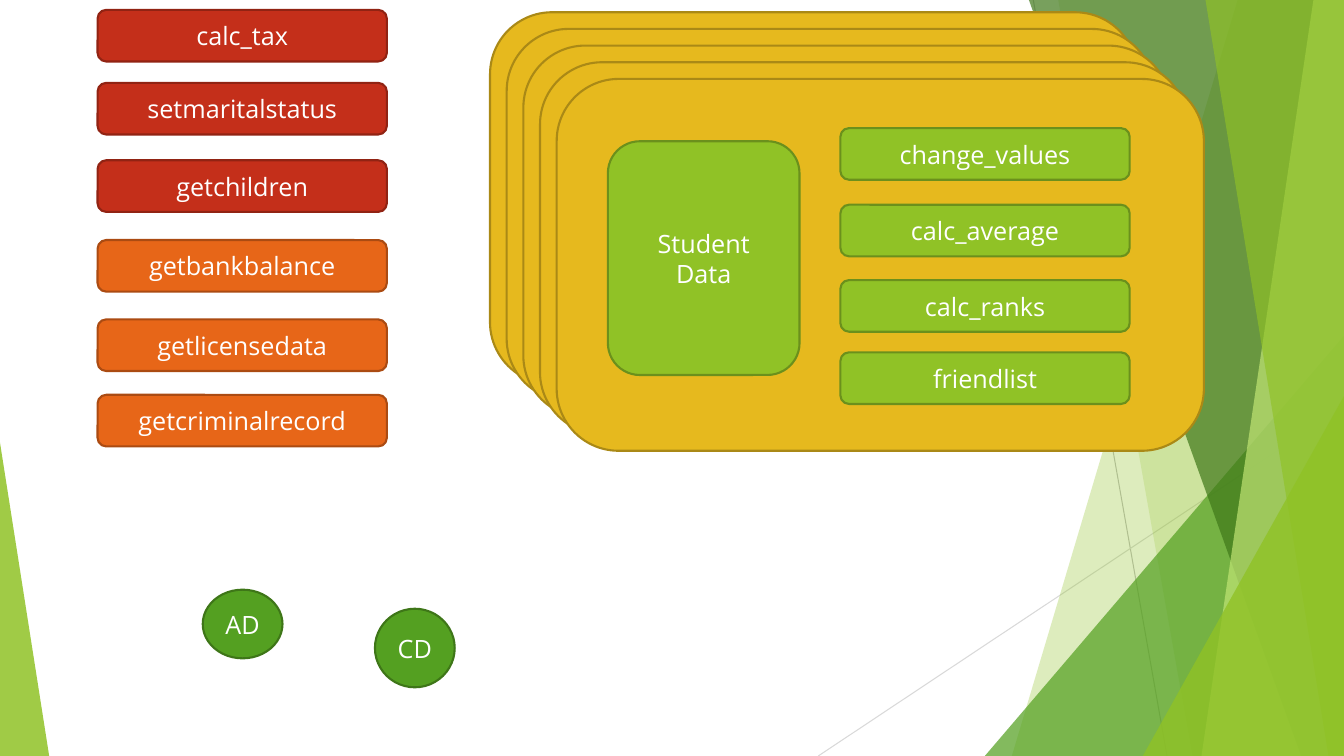
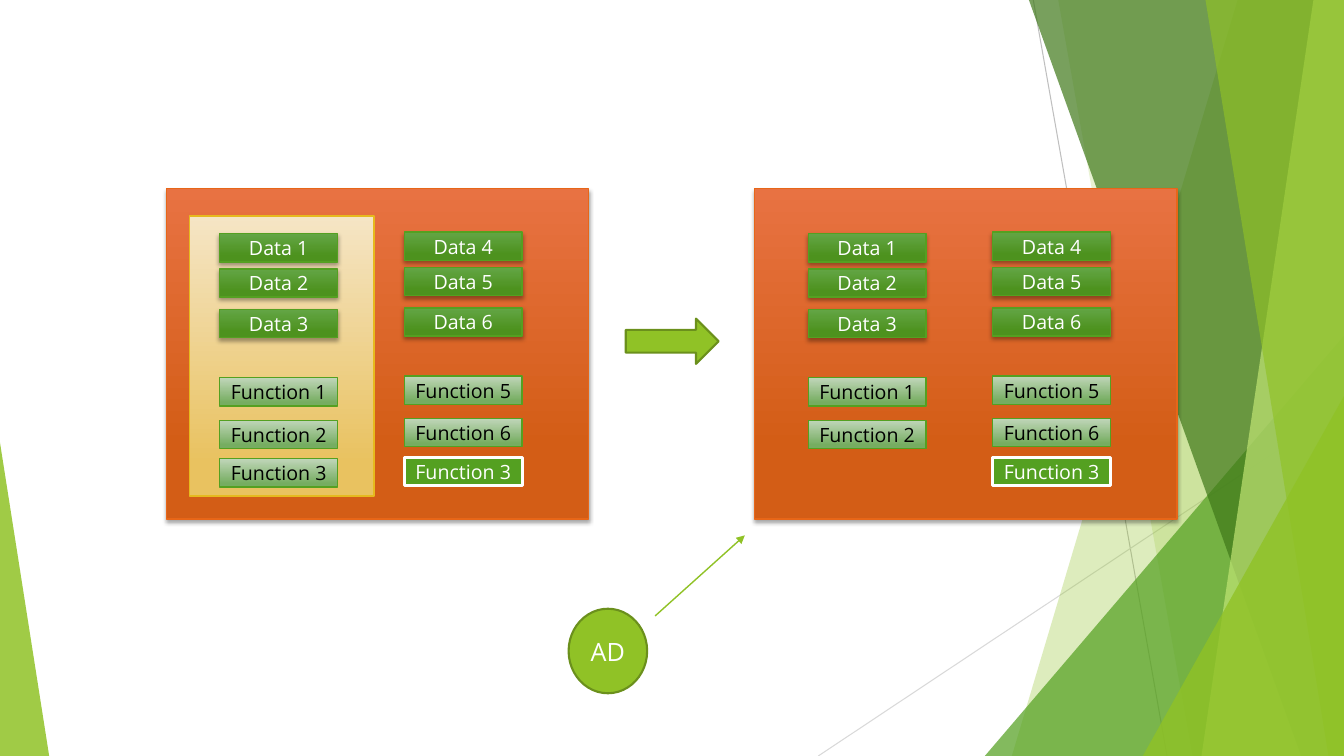
"""Build two slides on objects, their data and their functions."""
from collections import namedtuple

from lxml.etree import SubElement
from pptx import Presentation
from pptx.dml.color import RGBColor
from pptx.enum.shapes import MSO_CONNECTOR, MSO_SHAPE
from pptx.enum.text import MSO_ANCHOR, PP_ALIGN
from pptx.oxml.ns import qn
from pptx.util import Cm, Pt

WIDTH, HEIGHT = 33.87, 19.05
FONT = "Open Sans"
LIME, GREEN, WHITE, BLACK = "90C226", "54A021", "FFFFFF", "000000"

Style = namedtuple("Style", "fill line line_width size color shadow", defaults=(18, WHITE, False))
GOLD = Style("E6B91E", "AA8916", 1.5)
RED = Style("C42F1A", "912313", 1.5)
ORANGE = Style("E76618", "AB4B12", 1.5)
LIME_SHAPE = Style(LIME, "6B901C", 1.5)
GREEN_SHAPE = Style(GREEN, "3E7618", 1.5)
PANEL = Style([(0, "E87242"), (0.78, "D35D16")], "E76618", 1, shadow=True)
BASE_CLASS = Style([(0, "F5E5C5"), (0.88, "E9C260")], "E6B91E", 1)
DATA = Style([(0, "63A545"), (0.78, "4D921E")], GREEN, 1, 14, WHITE, True)
FUNCTION = Style([(0, "C0D6B9"), (0.88, "76AD61")], GREEN, 1, 14, BLACK)
OVERRIDE = Style(GREEN, WHITE, 2, 14)

BACKGROUND_LINES = [
    ((26.04, 0), (29.41, HEIGHT), "BFBFBF"),
    ((WIDTH, 10.24), (20.62, HEIGHT), "D9D9D9"),
]
BACKGROUND_FACETS = [
    ("band", 31.19, 25.5, LIME, 30),
    ("band", 26.67, 30.05, LIME, 20),
    ("triangle", (24.82, 8.46, 9.05, 10.59), 1, GREEN, 72),
    ("band", 25.93, 32.79, "3F7819", 70),
    ("band", 33.1, 30.28, "C0E474", 70),
    ("band", 30.38, 33.48, LIME, 65),
    ("triangle", (28.8, 9.98, 5.07, 9.07), 1, LIME, 80),
    ("triangle", (0, 11.15, 1.24, 7.9), 0, LIME, 85),
]

BUTTON_SIZE = (7.29, 1.3)
LOOSE_LEFT, METHOD_LEFT = 2.46, 21.18
LOOSE_FUNCTIONS = [
    ("calc_tax", 0.25, RED),
    ("setmaritalstatus", 2.09, RED),
    ("getchildren", 4.04, RED),
    ("getbankbalance", 6.05, ORANGE),
    ("getlicensedata", 8.05, ORANGE),
    ("getcriminalrecord", 9.95, ORANGE),
]
STUDENT_METHODS = [
    ("change_values", 3.23, LIME_SHAPE),
    ("calc_average", 5.16, LIME_SHAPE),
    ("calc_ranks", 7.06, LIME_SHAPE),
    ("friendlist", 8.88, LIME_SHAPE),
]
CARD_COUNT, CARD_STEP = 5, 0.42
CARD_LEFT, CARD_TOP, CARD_SIZE = 12.35, 0.31, (16.31, 9.37)
STUDENT_BOX = (15.32, 3.56, 4.83, 5.89)
STUDENT_CIRCLES = [("AD", (5.11, 14.86, 2.01, 1.73)), ("CD", (9.45, 15.34, 2.01, 1.98))]

PANEL_TOP, PANEL_SIZE = 4.75, (10.64, 8.33)
BASE_CLASS_BOX = (4.78, 5.44, 4.65, 7.06)
MEMBER_SIZE = (2.97, 0.71)
MEMBER_TOPS = [5.89, 6.78, 7.8, 9.52, 10.59, 11.56]
DATA_COUNT = 3
COLUMN_OFFSETS = [(1.35, 0), (6, -0.04)]
BASE_MEMBERS = ["Data 1", "Data 2", "Data 3", "Function 1", "Function 2", "Function 3"]
DERIVED_MEMBERS = ["Data 4", "Data 5", "Data 6", "Function 5", "Function 6", "Function 3"]
PANELS = [
    (4.19, BASE_MEMBERS, True),
    (19.02, BASE_MEMBERS[:-1], False),
]
ARROW_BOX = (15.77, 8.03, 2.34, 1.14)
OBJECT_BOX = (14.33, 15.34, 1.98, 2.13)
POINTER = ((16.51, 15.52), (18.77, 13.49))


def rgb(value):
    return RGBColor.from_string(value)


def lengths(*values):
    return [Cm(value) for value in values]


def add_line(slide, start, end, color, width, arrow=False):
    connector = slide.shapes.add_connector(MSO_CONNECTOR.STRAIGHT, *lengths(*start, *end))
    connector.line.color.rgb = rgb(color)
    connector.line.width = Pt(width)
    properties = connector.element.spPr
    if arrow:
        SubElement(properties.find(qn("a:ln")), qn("a:tailEnd"), type="triangle")
    SubElement(properties, qn("a:effectLst"))


def add_shadow(shape):
    effects = shape.element.spPr.find(qn("a:effectLst"))
    shadow = SubElement(effects, qn("a:outerShdw"), blurRad=str(Pt(3)), dist=str(Pt(2)),
                        dir="5400000", rotWithShape="0")
    color = SubElement(shadow, qn("a:srgbClr"), val=BLACK)
    SubElement(color, qn("a:alpha"), val="35000")


def paint(shape, fill):
    if isinstance(fill, str):
        shape.fill.solid()
        shape.fill.fore_color.rgb = rgb(fill)
        return
    shape.fill.gradient()
    shape.fill.gradient_angle = 270
    for stop, (position, color) in zip(shape.fill.gradient_stops, fill):
        stop.position = position
        stop.color.rgb = rgb(color)


def write(shape, text, style):
    frame = shape.text_frame
    frame.text = text
    frame.word_wrap = True
    frame.vertical_anchor = MSO_ANCHOR.MIDDLE
    frame.margin_left = frame.margin_right = Cm(0.1)
    for paragraph in frame.paragraphs:
        paragraph.alignment = PP_ALIGN.CENTER
        for run in paragraph.runs:
            run.font.name = FONT
            run.font.size = Pt(style.size)
            run.font.color.rgb = rgb(style.color)


def add_box(slide, kind, box, style, text=""):
    shape = slide.shapes.add_shape(kind, *lengths(*box))
    shape.shadow.inherit = False
    paint(shape, style.fill)
    shape.line.color.rgb = rgb(style.line)
    shape.line.width = Pt(style.line_width)
    if style.shadow:
        add_shadow(shape)
    if text:
        write(shape, text, style)


def add_band(slide, top_left, bottom_left):
    builder = slide.shapes.build_freeform(*lengths(top_left, 0))
    corners = [(WIDTH, 0), (WIDTH, HEIGHT), (bottom_left, HEIGHT)]
    builder.add_line_segments([lengths(*corner) for corner in corners], close=True)
    return builder.convert_to_shape()


def add_triangle(slide, box, apex):
    shape = slide.shapes.add_shape(MSO_SHAPE.ISOSCELES_TRIANGLE, *lengths(*box))
    shape.adjustments[0] = apex
    return shape


def add_background(slide):
    makers = {"band": add_band, "triangle": add_triangle}
    for start, end, color in BACKGROUND_LINES:
        add_line(slide, start, end, color, 0.75)
    for kind, first, second, color, opacity in BACKGROUND_FACETS:
        facet = makers[kind](slide, first, second)
        facet.shadow.inherit = False
        paint(facet, color)
        facet.line.fill.background()
        fill_color = facet.element.spPr.find(qn("a:solidFill"))[0]
        SubElement(fill_color, qn("a:alpha"), val=str(opacity * 1000))


def add_slide(presentation):
    slide = presentation.slides.add_slide(presentation.slide_layouts[6])
    add_background(slide)
    return slide


def build_student_slide(presentation):
    slide = add_slide(presentation)
    rounded = MSO_SHAPE.ROUNDED_RECTANGLE
    for index in range(CARD_COUNT):
        shift = index * CARD_STEP
        add_box(slide, rounded, (CARD_LEFT + shift, CARD_TOP + shift, *CARD_SIZE), GOLD)
    for left, buttons in [(LOOSE_LEFT, LOOSE_FUNCTIONS), (METHOD_LEFT, STUDENT_METHODS)]:
        for text, top, style in buttons:
            add_box(slide, rounded, (left, top, *BUTTON_SIZE), style, text)
    add_box(slide, rounded, STUDENT_BOX, LIME_SHAPE, "Student\nData")
    for text, box in STUDENT_CIRCLES:
        add_box(slide, MSO_SHAPE.OVAL, box, GREEN_SHAPE, text)


def add_members(slide, left, shift, members, last_function):
    for index, (text, top) in enumerate(zip(members, MEMBER_TOPS)):
        style = DATA if index < DATA_COUNT else FUNCTION
        if index == len(MEMBER_TOPS) - 1:
            style = last_function
        add_box(slide, MSO_SHAPE.RECTANGLE, (left, top + shift, *MEMBER_SIZE), style, text)


def build_inheritance_slide(presentation):
    slide = add_slide(presentation)
    for left, base_members, shows_base_class in PANELS:
        add_box(slide, MSO_SHAPE.RECTANGLE, (left, PANEL_TOP, *PANEL_SIZE), PANEL)
        if shows_base_class:
            add_box(slide, MSO_SHAPE.RECTANGLE, BASE_CLASS_BOX, BASE_CLASS)
        columns = [(base_members, FUNCTION), (DERIVED_MEMBERS, OVERRIDE)]
        for (offset, shift), (members, last_function) in zip(COLUMN_OFFSETS, columns):
            add_members(slide, left + offset, shift, members, last_function)
    add_box(slide, MSO_SHAPE.RIGHT_ARROW, ARROW_BOX, LIME_SHAPE)
    add_box(slide, MSO_SHAPE.OVAL, OBJECT_BOX, LIME_SHAPE, "AD")
    add_line(slide, *POINTER, LIME, 1, arrow=True)


presentation = Presentation()
presentation.slide_width, presentation.slide_height = lengths(WIDTH, HEIGHT)
build_student_slide(presentation)
build_inheritance_slide(presentation)
presentation.save("out.pptx")
